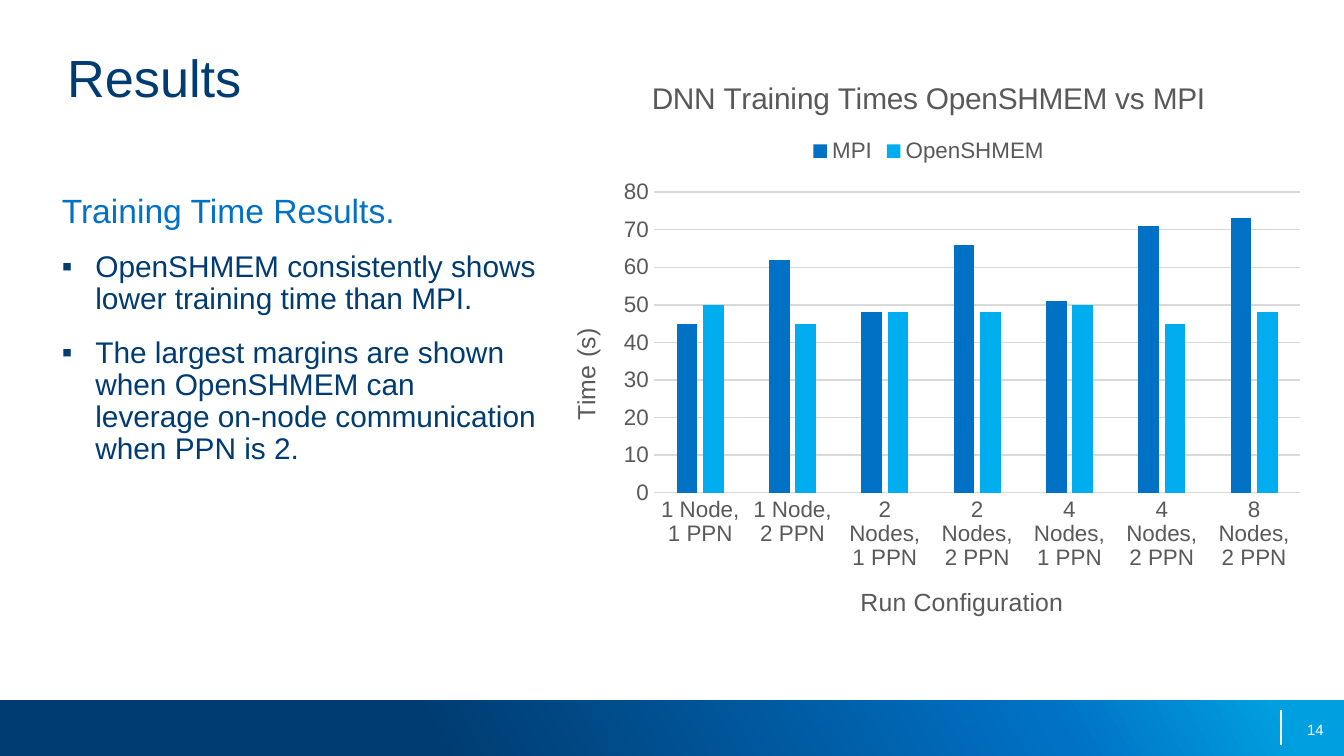
from copy import deepcopy
from dataclasses import dataclass
from typing import Any, NamedTuple

from lxml import etree
from pptx import Presentation
from pptx import util as u
from pptx.chart.data import CategoryChartData
from pptx.dml.color import RGBColor
from pptx.enum import chart as ch, shapes, text
from pptx.oxml.ns import qn


@dataclass(frozen=True)
class Theme:
    font: str = "Arial"
    navy: str = "003C71"
    blue: str = "0071C5"
    sky: str = "00AEEF"
    cyan: str = "009FDF"
    white: str = "FFFFFF"
    grey: str = "595959"
    grid: str = "D9D9D9"
    title: float = 28
    heading: float = 18
    body: float = 16
    chart_title: float = 16
    axis_title: float = 13.3
    label: float = 12
    number: float = 8


class Box(NamedTuple):
    left: float
    top: float
    width: float
    height: float

    def lengths(self) -> list[u.Length]:
        return [u.Inches(value) for value in self]


class Series(NamedTuple):
    name: str
    values: tuple[float, ...]
    color: str


THEME = Theme()
BULLETS = (
    "OpenSHMEM consistently shows lower training time than MPI.",
    "The largest margins are shown when OpenSHMEM can leverage on-node communication when PPN is 2.",
)
RUNS = ("1 Node, 1 PPN", "1 Node, 2 PPN", "2 Nodes, 1 PPN", "2 Nodes, 2 PPN",
        "4 Nodes, 1 PPN", "4 Nodes, 2 PPN", "8 Nodes, 2 PPN")
TIMES = (
    Series("MPI", (45, 62, 48, 66, 51, 71, 73), THEME.blue),
    Series("OpenSHMEM", (50, 45, 48, 48, 50, 45, 48), THEME.sky),
)


def rgb(color: str) -> RGBColor:
    return RGBColor.from_string(color)


def set_font(font: Any, size: float, color: str) -> None:
    font.name, font.size, font.bold = THEME.font, u.Pt(size), False
    font.color.rgb = rgb(color)


def place(shape: Any, box: Box, anchor: Any = text.MSO_ANCHOR.TOP) -> Any:
    """Position a text shape and clear its margins."""
    shape.left, shape.top, shape.width, shape.height = box.lengths()
    frame = shape.text_frame
    frame.margin_left = frame.margin_right = frame.margin_top = frame.margin_bottom = 0
    frame.word_wrap, frame.auto_size = True, text.MSO_AUTO_SIZE.NONE
    frame.vertical_anchor = anchor
    return frame


def write(para: Any, words: str, size: float, color: str, align: Any = text.PP_ALIGN.LEFT) -> None:
    para.text, para.alignment = words, align
    for span in para.runs:
        set_font(span.font, size, color)


def set_bullet(para: Any, mark: str = "") -> None:
    """Hang the paragraph from a mark, or remove its bullet."""
    hang = u.Inches(0.25) if mark else 0
    props = para._p.get_or_add_pPr()
    props.set("marL", str(hang))
    props.set("indent", str(-hang))
    bullet = etree.SubElement(props, qn("a:buChar" if mark else "a:buNone"))
    if mark:
        bullet.set("char", mark)


def add_footer(page: Any) -> None:
    # Gradient band
    band = page.shapes.add_shape(shapes.MSO_SHAPE.RECTANGLE, *Box(0, 5.21, 10, 0.42).lengths())
    band.shadow.inherit = False
    band.line.fill.background()
    band.fill.gradient()
    band.fill.gradient_angle = 29
    stops = band._element.spPr.find(qn("a:gradFill")).find(qn("a:gsLst"))
    stops.append(deepcopy(stops[-1]))
    colors = ((0.32, THEME.navy), (0.78, THEME.blue), (0.95, THEME.cyan))
    for stop, (position, color) in zip(band.fill.gradient_stops, colors):
        stop.position, stop.color.rgb = position, rgb(color)

    # Divider and page number
    divider = page.shapes.add_connector(
        shapes.MSO_CONNECTOR.STRAIGHT, u.Inches(9.53), u.Inches(5.28), u.Inches(9.53), u.Inches(5.54))
    divider.line.color.rgb, divider.line.width = rgb(THEME.white), u.Pt(0.75)
    etree.SubElement(divider._element.spPr, qn("a:effectLst"))
    box = Box(7.52, 5.28, 2.33, 0.3)
    frame = place(page.shapes.add_textbox(*box.lengths()), box, text.MSO_ANCHOR.MIDDLE)
    write(frame.paragraphs[0], "14", THEME.number, THEME.white, text.PP_ALIGN.RIGHT)


def add_findings(holder: Any) -> None:
    frame = place(holder, Box(0.46, 1.41, 3.53, 2.84))
    heading = frame.paragraphs[0]
    write(heading, "Training Time Results.", THEME.heading, THEME.blue)
    heading.space_before = u.Pt(12)
    set_bullet(heading)
    for words in BULLETS:
        para = frame.add_paragraph()
        write(para, words, THEME.body, THEME.navy)
        para.level = 1
        para.line_spacing, para.space_before = u.Pt(17), u.Pt(12)
        set_bullet(para, "▪")


def title_chart_part(part: Any, words: str, size: float) -> None:
    """Title a chart or one of its axes."""
    title = part.chart_title if hasattr(part, "chart_title") else part.axis_title
    title.text_frame.text = words
    set_font(title.text_frame.paragraphs[0].runs[0].font, size, THEME.grey)


def add_times_chart(page: Any) -> None:
    data = CategoryChartData()
    data.categories = RUNS
    for series in TIMES:
        data.add_series(series.name, series.values)
    chart = page.shapes.add_chart(
        ch.XL_CHART_TYPE.COLUMN_CLUSTERED, *Box(4.03, 0.41, 5.76, 4.4).lengths(), data).chart
    set_font(chart.font, THEME.label, THEME.grey)
    title_chart_part(chart, "DNN Training Times OpenSHMEM vs MPI", THEME.chart_title)
    chart.chart_title.include_text_in_layout = False

    # Legend
    chart.has_legend = True
    chart.legend.position = ch.XL_LEGEND_POSITION.TOP
    chart.legend.include_in_layout = False
    set_font(chart.legend.font, THEME.label, THEME.grey)

    # Axes
    runs, times = chart.category_axis, chart.value_axis
    for axis, words in ((runs, "Run Configuration"), (times, "Time (s)")):
        title_chart_part(axis, words, THEME.axis_title)
        axis.major_tick_mark = axis.minor_tick_mark = ch.XL_TICK_MARK.NONE
        set_font(axis.tick_labels.font, THEME.label, THEME.grey)
    times.minimum_scale, times.maximum_scale, times.major_unit = 0, 80, 10
    times.format.line.fill.background()
    for line in (runs.format.line, times.major_gridlines.format.line):
        line.color.rgb, line.width = rgb(THEME.grid), u.Pt(0.75)

    # Columns
    plot = chart.plots[0]
    plot.gap_width, plot.overlap, plot.vary_by_categories = 219, -27, False
    for columns, series in zip(plot.series, TIMES):
        columns.format.fill.solid()
        columns.format.fill.fore_color.rgb = rgb(series.color)


def main() -> None:
    # Widescreen deck, 16 by 9
    deck = Presentation()
    deck.slide_width = u.Inches(10)
    deck.slide_height = deck.slide_width * 9 // 16
    page = deck.slides.add_slide(deck.slide_layouts[1])
    add_footer(page)
    title = place(page.shapes.title, Box(0.5, 0.34, 8.87, 0.95))
    write(title.paragraphs[0], "Results", THEME.title, THEME.navy)
    add_findings(page.placeholders[1])
    add_times_chart(page)
    deck.save("out.pptx")


if __name__ == "__main__":
    main()
